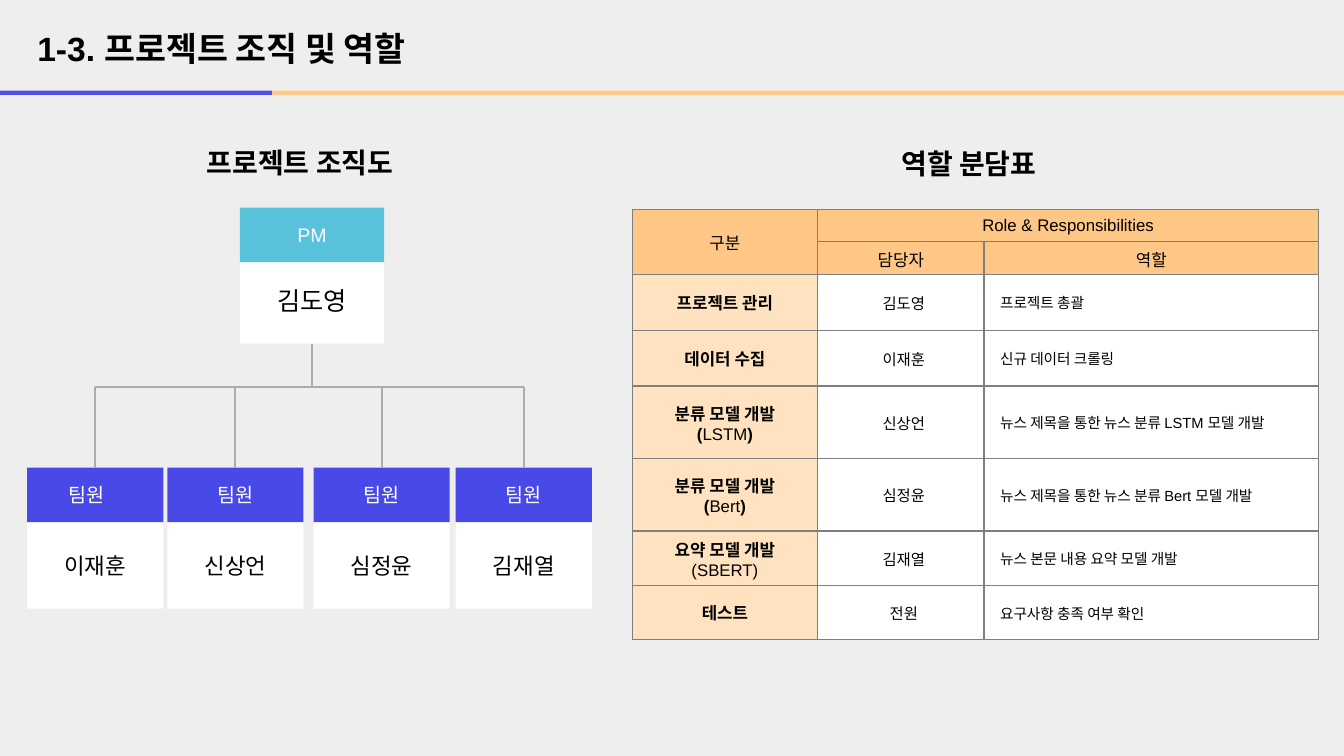
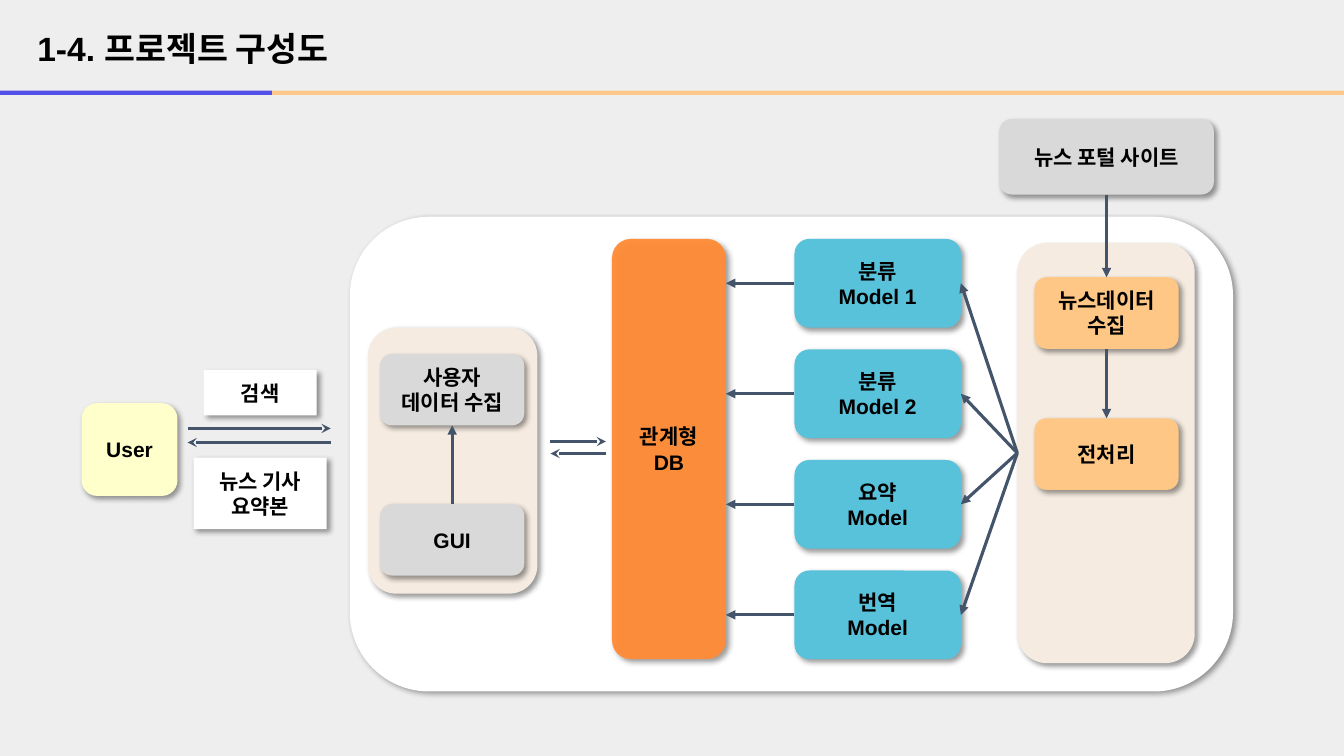
from lxml.etree import SubElement
from pptx import Presentation
from pptx.dml.color import RGBColor
from pptx.enum.shapes import MSO_CONNECTOR, MSO_SHAPE
from pptx.enum.text import MSO_ANCHOR, MSO_AUTO_SIZE, PP_ALIGN
from pptx.oxml import parse_xml
from pptx.oxml.ns import nsdecls, qn
from pptx.util import Inches, Pt

FONT = "Arial"
PAGE, WHITE, BLACK = "EEEEEE", "FFFFFF", "000000"
BLUE, TEAL, AMBER, ORANGE = "4949E8", "58C2DA", "FFC785", "FF8C37"
PEACH, SAND, SILVER, LEMON = "FFE3C1", "F5EBE0", "D9D9D9", "FFFFCC"
SLATE, ASH, GREY = "44546A", "AEABAB", "7F7F7F"
TOP, LEFT, BOTTOM, RIGHT = range(4)
WIDE, TALL = 13.33, 7.5

TEAM = [(0, "이재훈"), (1.39, "신상언"), (2.84, "심정윤"), (4.25, "김재열")]
COLS = [1.84, 1.65, 3.32]
ROWS = [0.32, 0.32, 0.56, 0.55, 0.72, 0.72, 0.54, 0.54]
HEADS = [("구분", "Role & Responsibilities", ""), ("", "담당자", "역할")]
# A bar switches bold on or off within a line.
TASKS = [
    ("프로젝트 관리", "김도영", "프로젝트 총괄"),
    ("데이터 수집", "이재훈", "신규 데이터 크롤링"),
    ("분류 모델 개발\n(|LSTM|)", "신상언", "뉴스 제목을 통한 뉴스 분류 LSTM 모델 개발"),
    ("분류 모델 개발\n(|Bert|)", "심정윤", "뉴스 제목을 통한 뉴스 분류 Bert 모델 개발"),
    ("요약 모델 개발\n|(SBERT)", "김재열", "뉴스 본문 내용 요약 모델 개발"),
    ("테스트", "전원", "요구사항 충족 여부 확인"),
]
MODELS = ["분류\nModel 1", "분류\nModel 2", "요약\nModel", "번역\nModel"]


def paint(fill, color, alpha=100):
    fill.solid()
    fill.fore_color.rgb = RGBColor.from_string(color)
    if alpha < 100:
        node = fill._xPr.find(qn("a:solidFill"))[0]
        SubElement(node, qn("a:alpha"), val=str(alpha * 1000))


def write(frame, text, size=12, color=BLACK, bold=False, align=PP_ALIGN.CENTER):
    for i, line in enumerate(text.split("\n")):
        para = frame.add_paragraph() if i else frame.paragraphs[0]
        para.alignment = align
        for j, part in enumerate(line.split("|")):
            if not part:
                continue
            run = para.add_run()
            run.text = part
            font = run.font
            font.name, font.size = FONT, Pt(size)
            font.bold = bold != bool(j % 2)
            font.color.rgb = RGBColor.from_string(color)


def fit(holder, left=0.1, top=0.05, right=0.1, low=0.05, anchor=MSO_ANCHOR.MIDDLE):
    """Set the insets and anchor of a text frame or a table cell."""
    holder.margin_left, holder.margin_top = Inches(left), Inches(top)
    holder.margin_right, holder.margin_bottom = Inches(right), Inches(low)
    holder.vertical_anchor = anchor


def block(slide, x, y, w, h, back, text="", kind=MSO_SHAPE.RECTANGLE,
          alpha=100, pad=None, **style):
    shape = slide.shapes.add_shape(kind, Inches(x), Inches(y), Inches(w), Inches(h))
    shape.shadow.inherit = False
    paint(shape.fill, back, alpha)
    shape.line.fill.background()
    if text:
        shape.text_frame.word_wrap = True
        fit(shape.text_frame, **(pad or {}))
        write(shape.text_frame, text, **style)
    return shape


def raised(slide, x, y, w, h, back, text="", kind=MSO_SHAPE.ROUNDED_RECTANGLE,
           alpha=100):
    """Draw a block with a soft shadow and bold text."""
    shape = block(slide, x, y, w, h, back, text, kind, alpha,
                  pad={"top": 0.1, "low": 0.1}, size=15, bold=True)
    shape.element.spPr.find(qn("a:effectLst")).append(parse_xml(
        f'<a:outerShdw {nsdecls("a")} blurRad="50800" dist="38100" dir="2700000" '
        'algn="tl" rotWithShape="0"><a:srgbClr val="000000">'
        '<a:alpha val="40000"/></a:srgbClr></a:outerShdw>'))
    return shape


def link(slide, start, end, color=SLATE, width=2.25, tip="", alpha=100):
    """Join two ends, each a point (x, y) or a pair (shape, side)."""
    line = slide.shapes.add_connector(MSO_CONNECTOR.STRAIGHT, 0, 0, 0, 0)
    if hasattr(start[0], "shape_id"):
        line.begin_connect(*start)
    else:
        line.begin_x, line.begin_y = map(Inches, start)
    if hasattr(end[0], "shape_id"):
        line.end_connect(*end)
    else:
        line.end_x, line.end_y = map(Inches, end)
    paint(line.line.fill, color, alpha)
    line.line.width = Pt(width)
    props = line.element.spPr
    if tip:
        SubElement(props.find(qn("a:ln")), qn("a:tailEnd"), type=tip)
    SubElement(props, qn("a:effectLst"))


def page(deck, text):
    """Add a slide with its title and the two-colour rule."""
    slide = deck.slides.add_slide(deck.slide_layouts[5])
    title = slide.shapes.title
    title.left, title.top = Inches(0.27), Inches(0.23)
    title.width, title.height = Inches(8), Inches(0.5)
    frame = title.text_frame
    frame.word_wrap, frame.auto_size = True, MSO_AUTO_SIZE.NONE
    fit(frame)
    write(frame, text, size=24, bold=True, align=PP_ALIGN.LEFT)
    for x, end, color in [(0, 2.7, BLUE), (2.7, WIDE, AMBER)]:
        link(slide, (x, 0.92), (end, 0.92), color, 3, alpha=95)
    return slide


def head(slide, x, y, w, text):
    box = slide.shapes.add_textbox(Inches(x), Inches(y), Inches(w), Inches(0.4))
    box.text_frame.word_wrap = True
    fit(box.text_frame, anchor=MSO_ANCHOR.TOP)
    write(box.text_frame, text, size=20, bold=True, align=PP_ALIGN.LEFT)


def card(slide, x, y, w, h, back, role, name, size, pad=None):
    """Stack a role label on a name; return both shapes."""
    body = block(slide, x, y + h - 0.86, w, 0.86, WHITE, name, size=size)
    label = block(slide, x, y, w, 0.54, back, role, pad=pad, size=14, color=WHITE)
    return label, body


def chart(slide, x, y):
    """Draw the organisation chart below its heading."""
    head(slide, x + 1.68, y, 2.9, "프로젝트 조직도")
    boss = card(slide, x + 2.11, y + 0.67, 1.43, 1.35, TEAL, "PM", "김도영", 18)[1]
    bus, wide = y + 2.45, 1.35
    mids = [x + dx + wide / 2 for dx, _ in TEAM]
    for i, (dx, name) in enumerate(TEAM):
        pad = None if i else {"right": 0.27}
        label, _ = card(slide, x + dx, y + 3.25, wide, 1.4, BLUE, "팀원", name, 16, pad)
        link(slide, (mids[i], bus), (label, TOP), ASH, 1.5)
    link(slide, (boss, BOTTOM), (x + 2.825, bus), ASH, 1.5)
    link(slide, (mids[0], bus), (mids[-1], bus), ASH, 1.5)


def edge(cell):
    props = cell._tc.get_or_add_tcPr()
    for i, side in enumerate(("lnL", "lnR", "lnT", "lnB")):
        props.insert(i, parse_xml(
            f'<a:{side} {nsdecls("a")} w="12700"><a:solidFill>'
            f'<a:srgbClr val="{GREY}"/></a:solidFill></a:{side}>'))


def roles(slide, x, y):
    """Draw the table of roles below its heading."""
    head(slide, x + 2.57, y, 1.68, "역할 분담표")
    grid = slide.shapes.add_table(
        len(ROWS), len(COLS), Inches(x), Inches(y + 0.68),
        Inches(sum(COLS)), Inches(sum(ROWS))).table
    for col, w in zip(grid.columns, COLS):
        col.width = Inches(w)
    for row, h in zip(grid.rows, ROWS):
        row.height = Inches(h)
    grid.cell(0, 0).merge(grid.cell(1, 0))
    grid.cell(0, 1).merge(grid.cell(0, 2))
    body = [
        (PEACH, {"left": 0.05, "right": 0.05}, {"bold": True}),
        (WHITE, {"left": 0.16, "top": 0.04, "low": 0.04}, {"size": 11}),
        (WHITE, {"left": 0.16, "top": 0.04, "low": 0.04},
         {"size": 10.5, "align": PP_ALIGN.LEFT}),
    ]
    for r, texts in enumerate(HEADS + TASKS):
        for c, text in enumerate(texts):
            color, pad, style = (AMBER, {}, {}) if r < len(HEADS) else body[c]
            cell = grid.cell(r, c)
            paint(cell.fill, color)
            edge(cell)
            fit(cell, **pad)
            if text:
                write(cell.text_frame, text, **style)


def swap(slide, x, y, w, gap):
    """Draw a right arrow above a left arrow."""
    link(slide, (x, y), (x + w, y), tip="stealth")
    link(slide, (x + w, y + gap), (x, y + gap), tip="stealth")


def client(slide, x, y):
    """Draw the user and what passes to and from the system."""
    raised(slide, x, y + 0.33, 0.95, 0.92, LEMON, "User")
    raised(slide, x + 1.11, y + 0.87, 1.32, 0.71, WHITE, "뉴스 기사 요약본",
           MSO_SHAPE.RECTANGLE)
    raised(slide, x + 1.21, y, 1.12, 0.45, WHITE, "검색", MSO_SHAPE.RECTANGLE)
    swap(slide, x + 1.05, y + 0.58, 1.42, 0.14)


def screen(slide, x, y):
    """Draw the user-side tray and its arrows to the database."""
    raised(slide, x, y, 1.68, 2.64, SAND)
    data = raised(slide, x + 0.12, y + 0.26, 1.43, 0.71, SILVER, "사용자 데이터 수집")
    gui = raised(slide, x + 0.12, y + 1.75, 1.43, 0.71, SILVER, "GUI")
    link(slide, (gui, TOP), (data, BOTTOM), tip="triangle")
    swap(slide, x + 1.81, y + 1.13, 0.55, 0.12)


def intake(slide, x, y):
    """Draw the news source and the tray it feeds; return the tray."""
    tray = raised(slide, x, y + 1.23, 1.76, 4.17, SAND)
    steps = [
        raised(slide, x - 0.18, y, 2.13, 0.75, SILVER, "뉴스 포털 사이트"),
        raised(slide, x + 0.17, y + 1.57, 1.43, 0.71, AMBER, "뉴스데이터 수집"),
        raised(slide, x + 0.17, y + 2.97, 1.43, 0.71, AMBER, "전처리"),
    ]
    for a, b in zip(steps, steps[1:]):
        link(slide, (a, BOTTOM), (b, TOP), tip="triangle")
    return tray


def engine(slide, x, y, tray):
    """Draw the database and the models that the tray feeds."""
    w, h, tall = 1.13, 0.88, 4.17
    raised(slide, x, y, w, tall, ORANGE, "관계형 DB", alpha=96)
    step = (tall - h) / (len(MODELS) - 1)
    for i, name in enumerate(MODELS):
        top = y + i * step
        model = raised(slide, x + 1.81, top, 1.65, h, TEAL, name)
        link(slide, (model, LEFT), (x + w, top + h / 2), tip="triangle")
        link(slide, (tray, LEFT), (model, RIGHT), tip="triangle")


def main():
    deck = Presentation()
    deck.slide_width, deck.slide_height = Inches(WIDE), Inches(TALL)
    paint(deck.slide_master.background.fill, PAGE)

    team = page(deck, "1-3. 프로젝트 조직 및 역할")
    chart(team, 0.27, 1.39)
    roles(team, 6.27, 1.4)

    system = page(deck, "1-4. 프로젝트 구성도")
    raised(system, 3.47, 2.15, 8.76, 4.71, WHITE)
    client(system, 0.81, 3.67)
    screen(system, 3.65, 3.25)
    tray = intake(system, 10.09, 1.18)
    engine(system, 6.07, 2.37, tray)
    deck.save("out.pptx")


if __name__ == "__main__":
    main()
